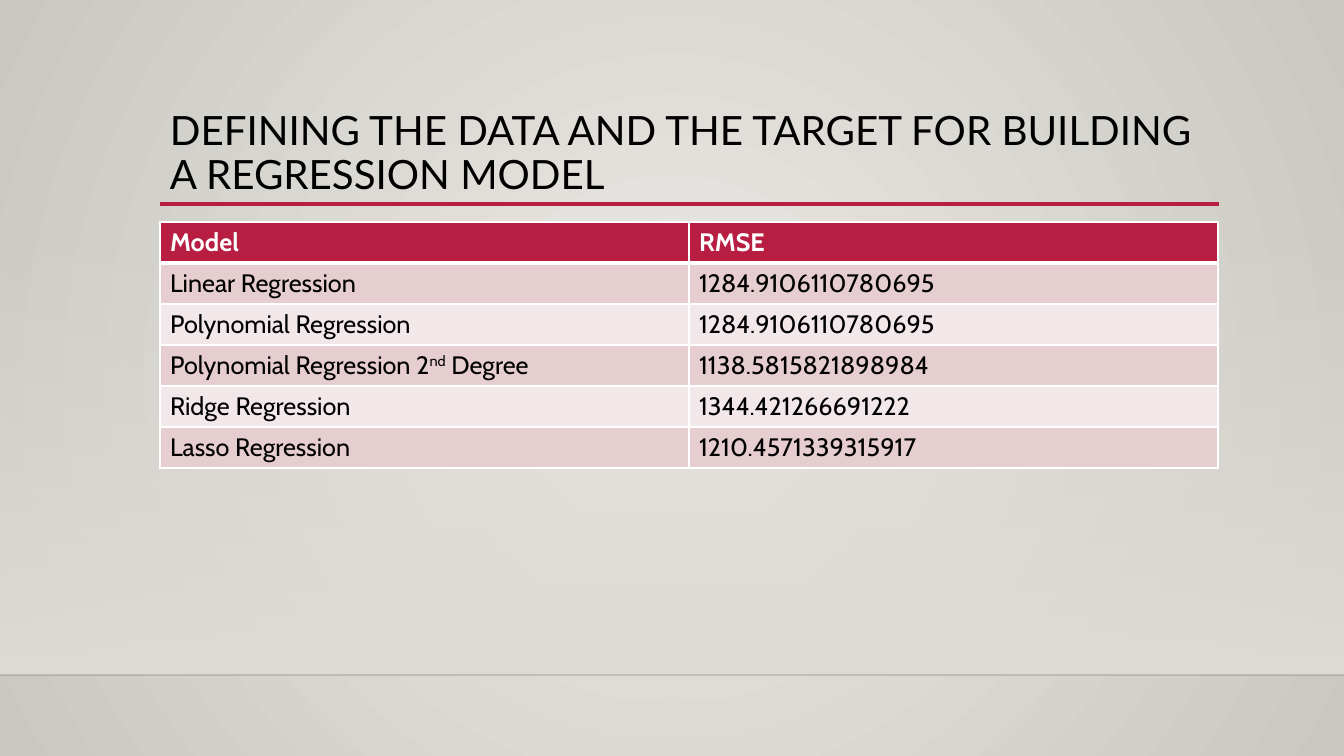
from dataclasses import dataclass

from lxml import etree
from pptx import Presentation
from pptx.dml.color import RGBColor
from pptx.enum.shapes import MSO_CONNECTOR as Connector, MSO_SHAPE as Shape
from pptx.enum.text import MSO_ANCHOR as Anchor
from pptx.oxml.ns import qn
from pptx.util import Emu, Pt

EMU_PER_PX = 914400 / 100.8
COLORS = {
    "glow": "ECEAE7", "edge": "CAC7C1", "floor": "DFDBD5", "horizon": "000001",
    "accent": "B71E42", "band": "E6CDCF", "pale": "F3E8E9",
    "ink": "000000", "white": "FFFFFF",
}
LEFT, CONTENT_WIDTH, ROW_HEIGHT = 160, 1058, 41
TITLE = "DEFINING THE DATA AND THE TARGET FOR BUILDING A REGRESSION MODEL"


@dataclass
class Stop:
    position: int
    color: str
    opacity: int = 100


@dataclass
class Rule:
    left: int
    right: int
    y: int
    color: str
    points: float
    opacity: int = 100


@dataclass
class Score:
    model: str
    rmse: str


RULES = [
    Rule(0, 1344, 675, "horizon", 1, 20),
    Rule(LEFT, 1219, 204, "accent", 2.5),
]
# A caret pair encloses superscript text.
SCORES = [
    Score("Model", "RMSE"),
    Score("Linear Regression", "1284.9106110780695"),
    Score("Polynomial Regression", "1284.9106110780695"),
    Score("Polynomial Regression 2^nd^ Degree", "1138.5815821898984"),
    Score("Ridge Regression", "1344.421266691222"),
    Score("Lasso Regression", "1210.4571339315917"),
]


def px(length: int) -> Emu:
    return Emu(round(length * EMU_PER_PX))


def rgb(name: str) -> RGBColor:
    return RGBColor.from_string(COLORS[name])


def add_color(parent, color: str, opacity: int = 100) -> None:
    srgb = etree.SubElement(parent, qn("a:srgbClr"), val=COLORS[color])
    if opacity < 100:
        etree.SubElement(srgb, qn("a:alpha"), val=str(opacity * 1000))


def set_gradient(owner, stops: list[Stop], radial: bool) -> None:
    """Rewrite the first gradient inside owner, from the centre or downwards."""
    gradient = next(owner.iter(qn("a:gradFill")))
    for child in list(gradient):
        gradient.remove(child)
    stop_list = etree.SubElement(gradient, qn("a:gsLst"))
    for stop in stops:
        item = etree.SubElement(stop_list, qn("a:gs"), pos=str(stop.position * 1000))
        add_color(item, stop.color, stop.opacity)
    if radial:
        circle = etree.SubElement(gradient, qn("a:path"), {"path": "circle"})
        etree.SubElement(circle, qn("a:fillToRect"), dict.fromkeys("ltrb", "50000"))
    else:
        etree.SubElement(gradient, qn("a:lin"), ang="5400000", scaled="0")


def add_backdrop(slide) -> None:
    slide.background.fill.gradient()
    set_gradient(slide.element, [Stop(0, "glow"), Stop(100, "edge")], radial=True)
    floor = slide.shapes.add_shape(Shape.RECTANGLE, 0, px(223), px(1344), px(452))
    floor.shadow.inherit = False
    floor.line.fill.background()
    floor.fill.gradient()
    set_gradient(floor.element, [Stop(0, "floor", 0), Stop(100, "floor")], radial=False)


def add_rule(slide, rule: Rule) -> None:
    line = slide.shapes.add_connector(
        Connector.STRAIGHT, px(rule.left), px(rule.y), px(rule.right), px(rule.y))
    line.line.width = Pt(rule.points)
    line.line.color.rgb = rgb(rule.color)
    if rule.opacity < 100:
        srgb = next(line.element.iter(qn("a:srgbClr")))
        etree.SubElement(srgb, qn("a:alpha"), val=str(rule.opacity * 1000))
    etree.SubElement(line.element.spPr, qn("a:effectLst"))


def add_title(slide) -> None:
    box = slide.shapes.add_textbox(px(LEFT), px(105), px(CONTENT_WIDTH), px(99))
    frame = box.text_frame
    frame.word_wrap = True
    frame.vertical_anchor = Anchor.MIDDLE
    title = frame.paragraphs[0]
    title.text = TITLE
    title.line_spacing = 0.9
    title.font.name = "Lato"
    title.font.size = Pt(28.8)
    title.font.color.rgb = rgb("ink")


def set_borders(cell, row: int) -> None:
    properties = cell._tc.get_or_add_tcPr()
    widths = {"L": 1, "R": 1, "T": 3 if row == 1 else 1, "B": 3 if row == 0 else 1}
    for side, points in widths.items():
        border = etree.SubElement(properties, qn(f"a:ln{side}"), w=str(Pt(points)))
        add_color(etree.SubElement(border, qn("a:solidFill")), "white")


def fill_cell(cell, text: str, row: int) -> None:
    header = row == 0
    set_borders(cell, row)
    cell.fill.solid()
    cell.fill.fore_color.rgb = rgb("accent" if header else "band" if row % 2 else "pale")
    paragraph = cell.text_frame.paragraphs[0]
    for index, part in enumerate(text.split("^")):
        run = paragraph.add_run()
        run.text = part
        if index % 2:
            run.font._element.set("baseline", "30000")
    paragraph.font.name = "Cabin"
    paragraph.font.size = Pt(18)
    paragraph.font.bold = header
    paragraph.font.color.rgb = rgb("white" if header else "ink")


def add_score_table(slide) -> None:
    table = slide.shapes.add_table(
        len(SCORES), 2, px(LEFT), px(222), px(CONTENT_WIDTH),
        px(ROW_HEIGHT * len(SCORES))).table
    for row, score in enumerate(SCORES):
        table.rows[row].height = px(ROW_HEIGHT)
        for column, text in enumerate((score.model, score.rmse)):
            fill_cell(table.cell(row, column), text, row)


def main() -> None:
    deck = Presentation()
    deck.slide_width, deck.slide_height = px(1344), px(756)
    slide = deck.slides.add_slide(deck.slide_layouts[6])
    add_backdrop(slide)
    for rule in RULES:
        add_rule(slide, rule)
    add_title(slide)
    add_score_table(slide)
    deck.save("out.pptx")


if __name__ == "__main__":
    main()
